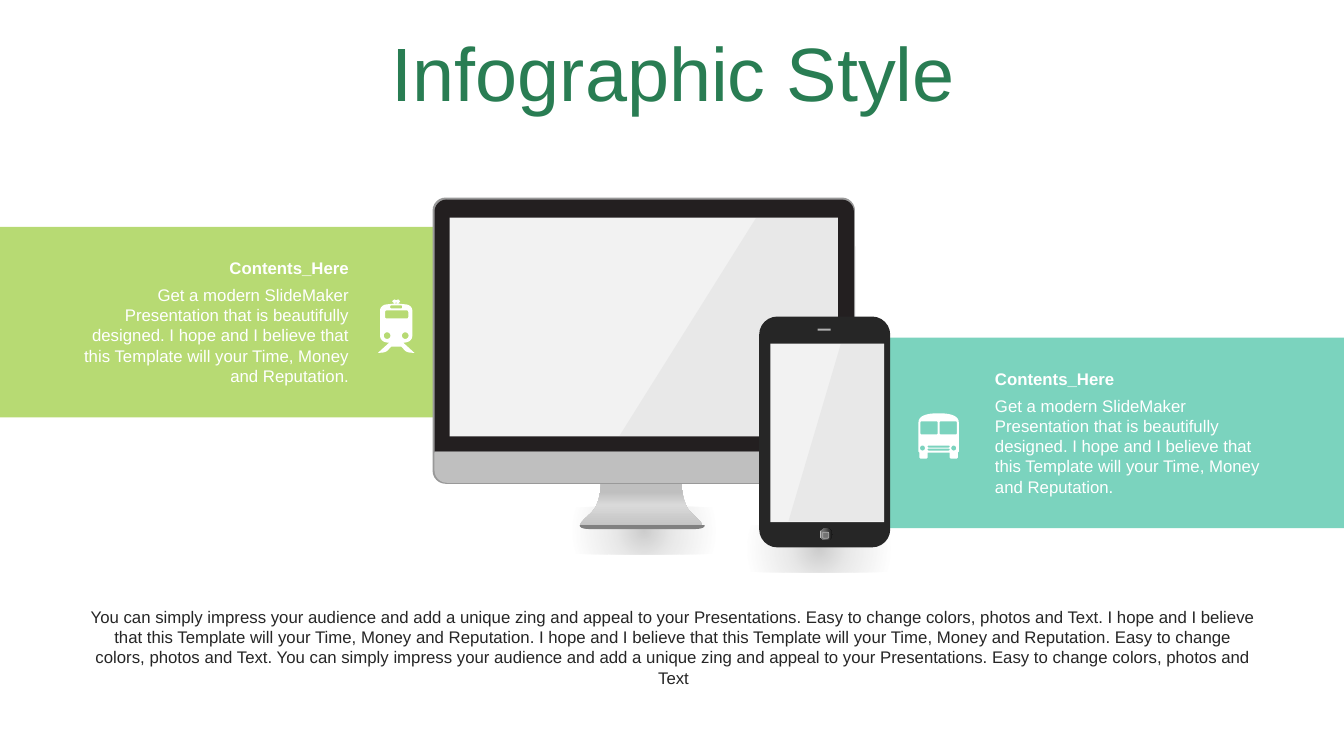
from math import cos, pi, sin

from lxml import etree
from pptx import Presentation
from pptx.dml.color import RGBColor
from pptx.enum.shapes import MSO_SHAPE as Preset
from pptx.enum.text import MSO_ANCHOR as Anchor, MSO_AUTO_SIZE as AutoSize, PP_ALIGN as Align
from pptx.oxml import parse_xml
from pptx.oxml.ns import nsdecls, qn
from pptx.util import Inches, Pt

WIDTH, HEIGHT = 13.33, 7.5
FONT = "Arial"
GREEN = RGBColor(0x29, 0x7D, 0x53)
LIME = RGBColor(0x99, 0xCB, 0x38)
TEAL = RGBColor(0x44, 0xC1, 0xA3)
WHITE = RGBColor(0xFF, 0xFF, 0xFF)
INK = RGBColor(0x26, 0x26, 0x26)
BEZEL = RGBColor(0x23, 0x1F, 0x20)
EDGE = RGBColor(0x99, 0x99, 0x99)
SILVER = RGBColor(0xBF, 0xBF, 0xBF)
BRIGHT = RGBColor(0xD9, 0xD9, 0xD9)
GREY = RGBColor(0x80, 0x80, 0x80)
SCREEN = RGBColor(0xF2, 0xF2, 0xF2)
BUTTON = RGBColor(0x73, 0x73, 0x73)
MARK = RGBColor(0xB0, 0xB0, 0xB0)
NIGHT = RGBColor(0x0F, 0x0F, 0x0F)
DUSK = RGBColor(0x59, 0x59, 0x59)

TITLE = "Infographic Style"
HEADING = "Contents_Here"
DETAIL = ("Get a modern SlideMaker Presentation that is beautifully designed. "
          "I hope and I believe that this Template will your Time, Money and Reputation.")
SUMMARY = ("You can simply impress your audience and add a unique zing and appeal to your "
           "Presentations. Easy to change colors, photos and Text. I hope and I believe that this "
           "Template will your Time, Money and Reputation. I hope and I believe that this Template "
           "will your Time, Money and Reputation. Easy to change colors, photos and Text. You can "
           "simply impress your audience and add a unique zing and appeal to your Presentations. "
           "Easy to change colors, photos and Text")
BANDS = [
    (0, 4.58, 2.25, LIME, 0.73, Align.RIGHT),
    (8.5, WIDTH - 8.5, 3.35, TEAL, 9.77, Align.LEFT),
]
BAND_HEIGHT = 1.89

deck = Presentation()
deck.slide_width, deck.slide_height = Inches(WIDTH), Inches(HEIGHT)
slide = deck.slides.add_slide(deck.slide_layouts[5])
shapes = slide.shapes


def paint(part, color, alpha=100):
    part.shadow.inherit = False
    part.line.fill.background()
    part.fill.solid()
    part.fill.fore_color.rgb = color
    if alpha < 100:
        tint = part.fill._xPr.find(qn("a:solidFill"))[0]
        etree.SubElement(tint, qn("a:alpha")).set("val", str(alpha * 1000))
    return part


def blend(part, stops, direction):
    marks = "".join(
        f'<a:gs pos="{at * 1000}"><a:srgbClr val="{color}"><a:alpha val="{alpha * 1000}"/>'
        "</a:srgbClr></a:gs>" for at, color, alpha in stops)
    gradient = parse_xml(f'<a:gradFill {nsdecls("a")} rotWithShape="1">'
                         f"<a:gsLst>{marks}</a:gsLst>{direction}</a:gradFill>")
    solid = part.fill._xPr.find(qn("a:solidFill"))
    solid.getparent().replace(solid, gradient)


def preset(kind, box, color, alpha=100, radius=None):
    part = shapes.add_shape(kind, *map(Inches, box))
    if radius is not None:
        part.adjustments[0] = radius / min(box[2:])
    return paint(part, color, alpha)


def outline(contours, color, alpha=100):
    rings = [[(Inches(x), Inches(y)) for x, y in ring] for ring in contours]
    builder = shapes.build_freeform(*rings[0][0], scale=1.0)
    for index, ring in enumerate(rings):
        if index:
            builder.move_to(*ring[0])
        builder.add_line_segments(ring[1:], close=True)
    return paint(builder.convert_to_shape(), color, alpha)


def curve(start, pull, push, end, steps=10):
    return [tuple((1 - t) ** 3 * a + 3 * t * (1 - t) ** 2 * b + 3 * t * t * (1 - t) * c + t ** 3 * d
                  for a, b, c, d in zip(start, pull, push, end))
            for t in (step / steps for step in range(steps + 1))]


def rounded(left, top, width, height, radius, steps=6):
    right, bottom = left + width - radius, top + height - radius
    centers = [(right, bottom), (left + radius, bottom),
               (left + radius, top + radius), (right, top + radius)]
    return [(x + radius * cos(angle), y + radius * sin(angle))
            for quarter, (x, y) in enumerate(centers)
            for angle in ((quarter + step / steps) * pi / 2 for step in range(steps + 1))]


def lamp(x, y, radius):
    return rounded(x - radius, y - radius, 2 * radius, 2 * radius, radius)


def mirrored(half, center):
    return half + [(2 * center - x, y) for x, y in reversed(half)]


def write(frame, wording, size, color, align, bold=False):
    frame.word_wrap = True
    frame.text = wording
    line = frame.paragraphs[0]
    line.alignment = align
    line.font.name, line.font.size, line.font.bold = FONT, Pt(size), bold
    line.font.color.rgb = color
    return line


def note(box, wording, color, align, bold=False, anchor=Anchor.MIDDLE):
    frame = shapes.add_textbox(*map(Inches, box)).text_frame
    write(frame, wording, 12, color, align, bold)
    frame.vertical_anchor, frame.auto_size = anchor, AutoSize.SHAPE_TO_FIT_TEXT


def ground_shadow(left, top):
    blend(preset(Preset.OVAL, (left, top, 4.61, 0.47), GREY),
          [(0, GREY, 40), (12, GREY, 18), (31, GREY, 0), (100, GREY, 0)],
          '<a:path path="circle"><a:fillToRect l="50000" t="50000" r="50000" b="50000"/></a:path>')


def monitor():
    middle = 6.36
    stand = outline([mirrored(
        [(middle, 4.8), (5.96, 4.8)] + curve((5.96, 4.8), (5.96, 4.8), (5.96, 4.99), (5.87, 5.08))
        + curve((5.87, 5.08), (5.78, 5.17), (5.65, 5.25), (5.89, 5.25)), middle)], SILVER)
    blend(stand, [(0, SILVER, 100), (53, BRIGHT, 100), (83, SILVER, 100), (100, SILVER, 100)],
          '<a:lin ang="16200000" scaled="0"/>')
    preset(Preset.ROUNDED_RECTANGLE, (4.29, 1.96, 4.19, 2.84), EDGE, radius=0.13)
    preset(Preset.ROUND_2_SAME_RECTANGLE, (4.31, 1.98, 4.16, 2.5), BEZEL, radius=0.12)
    outline([mirrored([(middle, 5.21), (5.75, 5.21)]
                      + curve((5.75, 5.21), (5.75, 5.24), (5.79, 5.25), (5.89, 5.25)),
                      middle + 0.01)], GREY)
    chin = preset(Preset.ROUND_2_SAME_RECTANGLE, (4.31, 4.48, 4.16, 0.31), SILVER, radius=0)
    chin.adjustments[1] = 0.4
    preset(Preset.RECTANGLE, (4.46, 2.16, 3.85, 2.17), SCREEN)
    outline([[(7.5, 2.16), (8.31, 2.16), (8.31, 4.33), (6.14, 4.33)]], EDGE, 10)


def tablet():
    preset(Preset.ROUNDED_RECTANGLE, (7.53, 3.14, 1.3, 2.29), INK, radius=0.18)
    preset(Preset.RECTANGLE, (8.11, 3.26, 0.13, 0.02), MARK)
    home = preset(Preset.OVAL, (8.13, 5.24, 0.13, 0.12), DUSK)
    blend(home, [(0, NIGHT, 100), (56, DUSK, 100), (91, GREY, 100), (100, SILVER, 100)],
          '<a:lin ang="10800000" scaled="0"/>')
    key = preset(Preset.ROUNDED_RECTANGLE, (8.16, 5.28, 0.06, 0.06), BUTTON)
    key.line.color.rgb, key.line.width = MARK, Pt(0.5)
    preset(Preset.RECTANGLE, (7.64, 3.41, 1.13, 1.77), SCREEN)
    outline([[(8.34, 3.41), (8.77, 3.41), (8.77, 5.17), (7.82, 5.17)]], EDGE, 10)


def bus():
    middle = 9.31
    body = mirrored(
        curve((middle, 4.1), (9.23, 4.1), (9.11, 4.11), (9.11, 4.19))
        + [(9.11, 4.48), (9.12, 4.49), (9.12, 4.54), (9.13, 4.55),
           (9.19, 4.55), (9.2, 4.54), (9.2, 4.49)], middle)
    windows = [rounded(left, 4.18, 0.17, 0.13, 0.01) for left in (9.13, 9.32)]
    grille = [rounded(9.2, top, 0.22, 0.02, 0.01) for top in (4.42, 4.45)]
    outline([body, *windows, *grille, lamp(9.15, 4.445, 0.025), lamp(9.46, 4.445, 0.025)], WHITE)


def train():
    middle = 3.93
    body = mirrored(
        [(middle, 3.01)] + curve((3.84, 3.02), (3.8, 3.02), (3.77, 3.05), (3.77, 3.08))
        + curve((3.77, 3.33), (3.77, 3.36), (3.79, 3.4), (3.86, 3.4))
        + [(3.75, 3.5)] + curve((3.77, 3.5), (3.81, 3.5), (3.84, 3.49), (3.86, 3.46))
        + [(3.88, 3.44), (middle, 3.44)], middle)
    pantograph = mirrored([(middle, 2.98), (3.91, 2.97), (3.89, 2.99), (3.91, 3.01),
                           (middle, 3)], middle)
    outline([body, pantograph, rounded(3.82, 3.08, 0.23, 0.08, 0.015),
             rounded(3.87, 3.03, 0.12, 0.03, 0.012),
             lamp(3.84, 3.33, 0.033), lamp(4.02, 3.33, 0.033)], WHITE)


ground_shadow(4.08, 5.03)
for left, width, top, color, _, _ in BANDS:
    preset(Preset.RECTANGLE, (left, top, width, BAND_HEIGHT), color, 70)
monitor()
ground_shadow(5.82, 5.21)

title = shapes.title
title.left, title.top, title.width, title.height = map(Inches, (0.35, 0.37, 12.66, 0.79))
title.text_frame.vertical_anchor = Anchor.MIDDLE
title.text_frame.auto_size = AutoSize.NONE
write(title.text_frame, TITLE, 54, GREEN, Align.CENTER).line_spacing = 0.9

note((0.79, 5.97, 11.78, 0.71), SUMMARY, INK, Align.CENTER, anchor=Anchor.TOP)
for _, _, top, _, left, align in BANDS:
    note((left, top + 0.52, 2.83, 1.11), DETAIL, WHITE, align)
    note((left, top + 0.26, 2.83, 0.3), HEADING, WHITE, align, bold=True)
bus()
train()
tablet()
deck.save("out.pptx")
